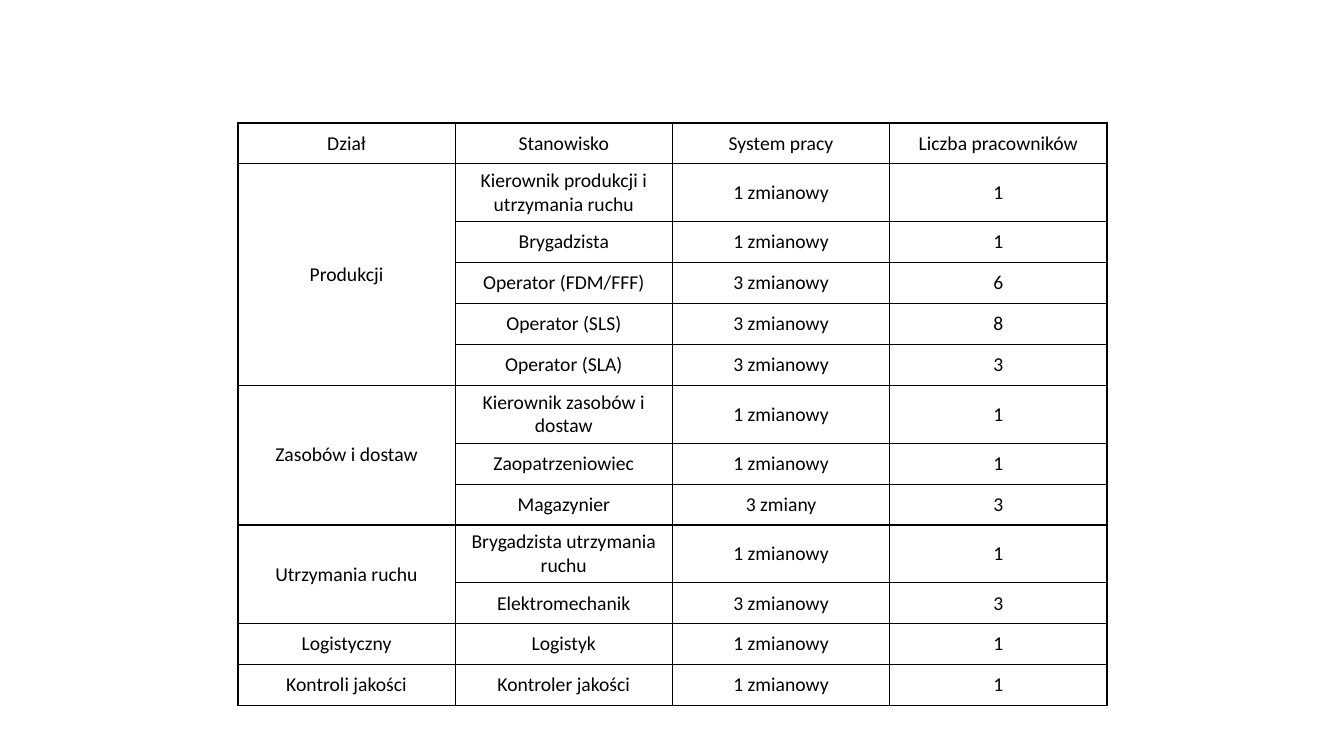
from lxml import etree
from pptx import Presentation
from pptx import util as u
from pptx.dml.color import RGBColor
from pptx.enum import text
from pptx.oxml import ns

BLACK = RGBColor(0, 0, 0)
HEAD = ("Dział", "Stanowisko", "System pracy", "Liczba pracowników")
UNITS = [
    ("Produkcji", [
        ("Kierownik produkcji i utrzymania ruchu", "1 zmianowy", "1"),
        ("Brygadzista", "1 zmianowy", "1"),
        ("Operator (FDM/FFF)", "3 zmianowy", "6"),
        ("Operator (SLS)", "3 zmianowy", "8"),
        ("Operator (SLA)", "3 zmianowy", "3"),
    ]),
    ("Zasobów i dostaw", [
        ("Kierownik zasobów i dostaw", "1 zmianowy", "1"),
        ("Zaopatrzeniowiec", "1 zmianowy", "1"),
        ("Magazynier", "3 zmiany", "3"),
    ]),
    ("Utrzymania ruchu", [
        ("Brygadzista utrzymania ruchu", "1 zmianowy", "1"),
        ("Elektromechanik", "3 zmianowy", "3"),
    ]),
    ("Logistyczny", [("Logistyk", "1 zmianowy", "1")]),
    ("Kontroli jakości", [("Kontroler jakości", "1 zmianowy", "1")]),
]


def border(cell):
    props = cell._tc.get_or_add_tcPr()
    for spot, side in enumerate(("lnL", "lnR", "lnT", "lnB")):
        line = etree.Element(ns.qn("a:" + side), w=str(u.Pt(1)))
        fill = etree.SubElement(line, ns.qn("a:solidFill"))
        etree.SubElement(fill, ns.qn("a:srgbClr"), val=str(BLACK))
        props.insert(spot, line)


def write(cell, words):
    cell.text_frame.text = words
    cell.vertical_anchor = text.MSO_ANCHOR.MIDDLE
    cell.fill.background()
    border(cell)
    para = cell.text_frame.paragraphs[0]
    para.alignment = text.PP_ALIGN.CENTER
    font = para.font
    for run in para.runs:
        font = run.font
    font.name, font.size, font.bold = "Calibri", u.Pt(14), False
    font.color.rgb = BLACK


def main():
    deck = Presentation()
    deck.slide_width, deck.slide_height = u.Inches(13.33), u.Inches(7.5)
    slide = deck.slides.add_slide(deck.slide_layouts[6])

    rows = [HEAD]
    spans = []
    for unit, jobs in UNITS:
        spans.append((len(rows), len(rows) + len(jobs) - 1))
        rows += [(unit if i == 0 else "", *job) for i, job in enumerate(jobs)]

    table = slide.shapes.add_table(
        len(rows), len(HEAD), u.Inches(2.36), u.Inches(1.22),
        u.Inches(8.62), u.Inches(5.28)).table
    table.first_row = table.horz_banding = False
    for r, row in enumerate(rows):
        for c, words in enumerate(row):
            write(table.cell(r, c), words)
    for first, last in spans:
        if last > first:
            table.cell(first, 0).merge(table.cell(last, 0))

    deck.save("out.pptx")


if __name__ == "__main__":
    main()
